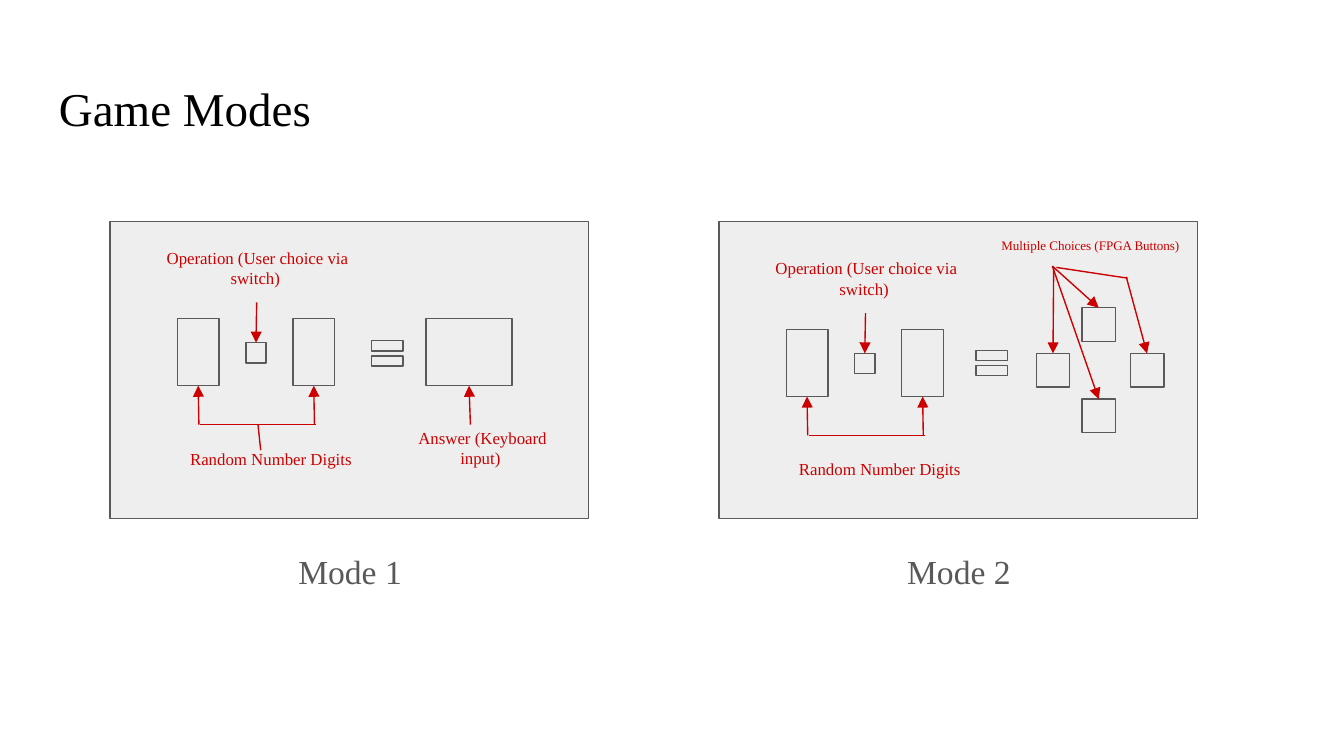
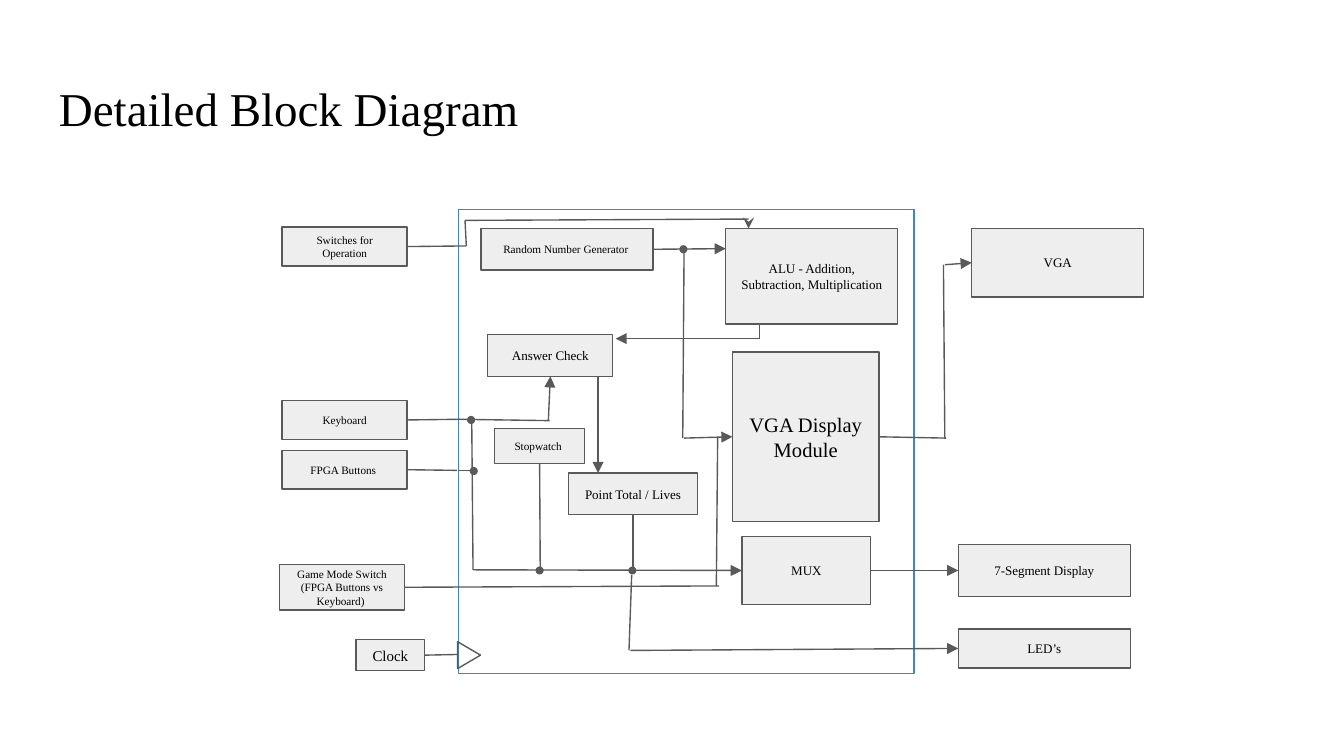
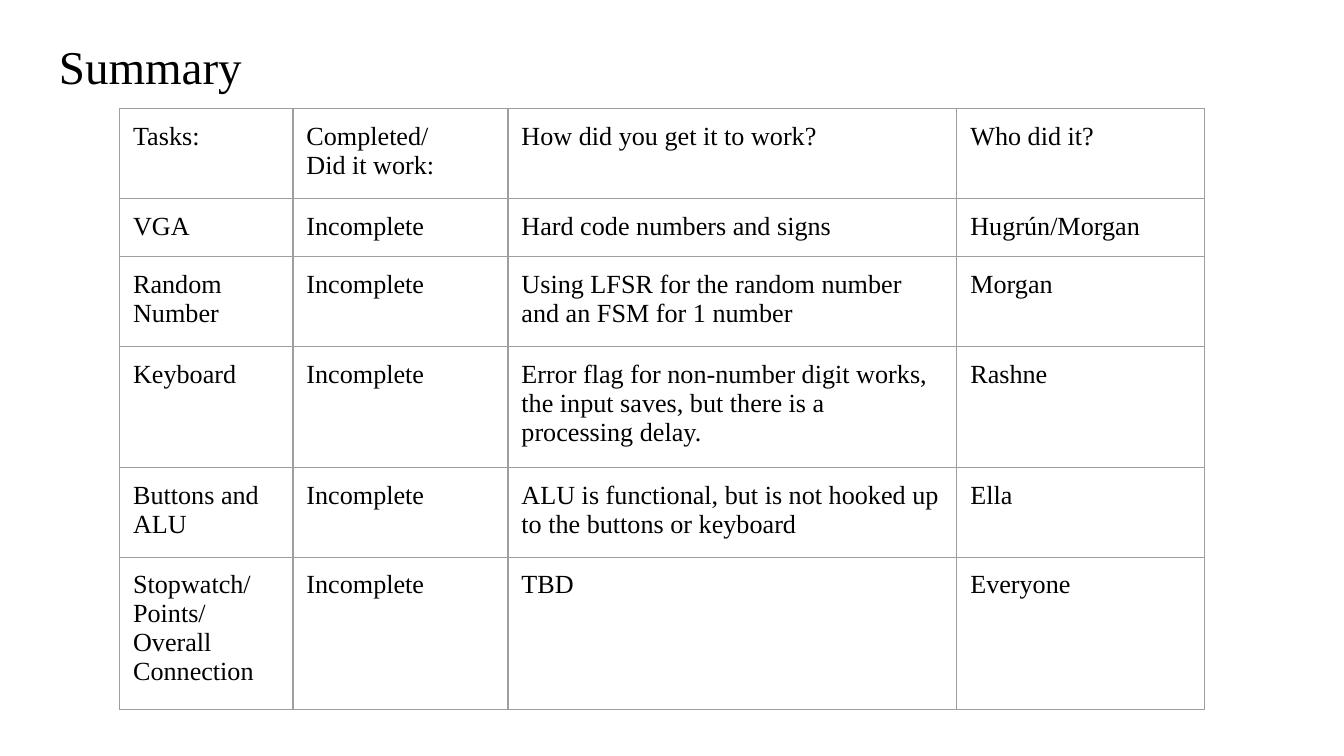
import pptx
import pptx.util
import pptx.oxml
import pptx.oxml.ns
import pptx.dml.color
import pptx.enum.shapes
import pptx.enum.text
from lxml import etree

Inches = pptx.util.Inches
SHAPE = pptx.enum.shapes.MSO_SHAPE
ALIGN = pptx.enum.text.PP_ALIGN
ANCHOR = pptx.enum.text.MSO_ANCHOR
qn = pptx.oxml.ns.qn

# Shared style
FONT = "Times New Roman"
BLACK, GREY, PALE = "000000", "595959", "EEEEEE"
RED, BLUE, BORDER = "CC0000", "3D85C6", "9E9E9E"
LINE_WIDTH = 0.75
INSET = 0.1
TOP, LEFT, BOTTOM, RIGHT = range(4)


def rgb(color):
    return pptx.dml.color.RGBColor.from_string(color)


def write(tf, text, size=14, color=BLACK, align=ALIGN.LEFT, anchor=ANCHOR.TOP):
    """Fill a text frame, one paragraph per line of text."""
    tf.word_wrap = True
    tf.vertical_anchor = anchor
    tf.margin_left = tf.margin_right = Inches(INSET)
    tf.margin_top = tf.margin_bottom = Inches(INSET)
    for i, line_text in enumerate(text.split("\n")):
        p = tf.paragraphs[0] if i == 0 else tf.add_paragraph()
        p.alignment = align
        r = p.add_run()
        r.text = line_text
        r.font.name = FONT
        r.font.size = pptx.util.Pt(size)
        r.font.color.rgb = rgb(color)


def label(s, at, text, **fmt):
    box = s.shapes.add_textbox(*map(Inches, at))
    write(box.text_frame, text, **{"align": ALIGN.CENTER, **fmt})


def title(s, text, top=0.49):
    label(s, (0.34, top, 9.32, 0.63), text, size=25.2, align=ALIGN.LEFT)


def shape(s, at, kind=SHAPE.RECTANGLE, fill=PALE, color=GREY):
    sp = s.shapes.add_shape(kind, *map(Inches, at))
    sp.shadow.inherit = False
    if fill:
        sp.fill.solid()
        sp.fill.fore_color.rgb = rgb(fill)
    else:
        sp.fill.background()
    sp.line.color.rgb = rgb(color)
    sp.line.width = pptx.util.Pt(LINE_WIDTH)
    return sp


def block(s, at, text, size):
    sp = shape(s, at)
    write(sp.text_frame, text, size=size, align=ALIGN.CENTER, anchor=ANCHOR.MIDDLE)
    return sp


def dot(s, x, y):
    shape(s, (x, y, 0.05, 0.05), SHAPE.OVAL, fill=GREY)


def line(s, start, end, color=GREY, head=None):
    """Each end is either a point (x, y) or a pair (shape, side)."""
    def is_point(place):
        return isinstance(place[0], (int, float))

    ends = [Inches(v) for place in (start, end)
            for v in (place if is_point(place) else (0, 0))]
    c = s.shapes.add_connector(pptx.enum.shapes.MSO_CONNECTOR.STRAIGHT, *ends)
    if not is_point(start):
        c.begin_connect(*start)
    if not is_point(end):
        c.end_connect(*end)
    c.line.color.rgb = rgb(color)
    c.line.width = pptx.util.Pt(LINE_WIDTH)
    if head:
        ln = c._element.spPr.find(qn("a:ln"))
        etree.SubElement(ln, qn("a:tailEnd"), type=head)
    etree.SubElement(c._element.spPr, qn("a:effectLst"))


def arrow(s, start, end, color=GREY):
    line(s, start, end, color, "triangle")


def equals_sign(s, x, y):
    sp = shape(s, (x, y, 0.32, 0.32), SHAPE.MATH_EQUAL)
    sp.adjustments[0], sp.adjustments[1] = 0.235, 0.118


def operands(s, dx=0, dy=0):
    """Two digits and the operator between them, with their labels."""
    bracket = 3.16 + dy
    for x in (1.32 + dx, 2.18 + dx):
        digit = shape(s, (x, 2.37 + dy, 0.31, 0.5))
        arrow(s, (x + 0.16, bracket), (digit, BOTTOM), RED)
    line(s, (1.49 + dx, bracket), (2.35 + dx, bracket), RED)
    label(s, (1.16 + dx, 3.26 + dy, 1.71, 0.35), "Random Number Digits", size=9, color=RED)

    operator = shape(s, (1.83 + dx, 2.55 + dy, 0.15, 0.15))
    label(s, (1.06 + dx, 1.74 + dy, 1.71, 0.5), "Operation (User choice via switch) ",
          size=9, color=RED)
    arrow(s, (1.91 + dx, 2.25 + dy), (operator, TOP), RED)


def game_modes(s):
    title(s, "Game Modes")
    for x, name in ((0.82, "Mode 1"), (5.35, "Mode 2")):
        shape(s, (x, 1.65, 3.56, 2.21))
        label(s, (x + 1.21, 4, 1.15, 0.5), name, size=18, color=GREY)

    # Mode 1: typed answer
    operands(s)
    line(s, (1.92, 3.16), (1.94, 3.35), RED)
    equals_sign(s, 2.72, 2.47)
    answer = shape(s, (3.17, 2.37, 0.64, 0.5))
    arrow(s, (3.5, 3.16), (answer, BOTTOM), RED)
    label(s, (2.99, 3.08, 1.2, 0.5), "Answer (Keyboard input) ", size=9, color=RED)

    # Mode 2: four choices around a cross
    operands(s, dx=4.53, dy=0.08)
    equals_sign(s, 7.22, 2.54)
    choices = ((8.05, 2.29, (7.83, 1.98)), (7.71, 2.63, (7.84, 2)),
               (8.41, 2.63, (8.38, 2.06)), (8.05, 2.97, (7.83, 1.98)))
    for x, y, start in choices:
        choice = shape(s, (x, y, 0.25, 0.25))
        arrow(s, start, (choice, TOP), RED)
    line(s, (7.86, 1.99), (8.39, 2.07), RED)
    label(s, (7.27, 1.71, 1.71, 0.32), "Multiple Choices (FPGA Buttons) ", size=7, color=RED)


def block_diagram(s):
    title(s, "Detailed Block Diagram")
    shape(s, (3.41, 1.56, 3.39, 3.45), fill=None, color=BLUE)

    # Inputs
    switches = block(s, (2.1, 1.69, 0.93, 0.29), "Switches for Operation", 6)
    keyboard = block(s, (2.1, 2.98, 0.93, 0.29), "Keyboard", 6)
    buttons = block(s, (2.1, 3.35, 0.93, 0.29), "FPGA Buttons ", 6)
    mode = block(s, (2.08, 4.2, 0.93, 0.34), "Game Mode Switch (FPGA Buttons vs Keyboard) ", 6)
    clock = block(s, (2.65, 4.76, 0.51, 0.23), "Clock", 8)
    shape(s, (3.39, 4.79, 0.2, 0.17), SHAPE.ISOSCELES_TRIANGLE, fill=None).rotation = 90

    # Modules
    generator = block(s, (3.58, 1.7, 1.28, 0.31), "Random Number Generator ", 6)
    block(s, (5.4, 1.7, 1.28, 0.71), "ALU - Addition, Subtraction, Multiplication", 7)
    check = block(s, (3.63, 2.49, 0.93, 0.31), "Answer Check", 7)
    stopwatch = block(s, (3.68, 3.19, 0.67, 0.26), "Stopwatch ", 6)
    points = block(s, (4.23, 3.52, 0.96, 0.31), "Point Total / Lives", 7)
    display = block(s, (5.45, 2.62, 1.09, 1.26), "VGA Display Module", 11)
    mux = block(s, (5.52, 3.99, 0.96, 0.51), "MUX", 7)

    # Outputs
    vga = block(s, (7.23, 1.7, 1.28, 0.51), "VGA", 7)
    segments = block(s, (7.13, 4.05, 1.28, 0.39), "7-Segment Display", 7)
    leds = block(s, (7.13, 4.68, 1.28, 0.29), "LED’s", 7)

    # Plain wires
    wires = (
        ((switches, RIGHT), (3.47, 1.83)), ((3.46, 1.64), (3.47, 1.83)),
        ((3.46, 1.64), (5.57, 1.63)),
        ((keyboard, RIGHT), (3.42, 3.12)), ((3.41, 3.12), (4.09, 3.13)),
        ((buttons, RIGHT), (3.4, 3.5)), ((3.41, 3.5), (3.5, 3.5)),
        ((3.51, 3.12), (3.52, 4.24)),
        ((mode, RIGHT), (5.35, 4.36)), ((5.33, 4.36), (5.34, 3.25)),
        ((clock, RIGHT), (3.41, 4.87)),
        ((5.09, 1.86), (5.08, 3.26)), ((5.65, 2.41), (5.65, 2.52)),
        ((stopwatch, BOTTOM), (4.02, 4.25)), ((points, BOTTOM), (4.71, 4.25)),
        ((4.68, 4.84), (4.7, 4.28)),
        ((display, RIGHT), (7.04, 3.26)), ((7.02, 1.97), (7.03, 3.26)),
    )
    for start, end in wires:
        line(s, start, end)

    # Arrows
    line(s, (5.57, 1.63), (5.57, 1.7), head="stealth")
    arrows = (
        ((generator, RIGHT), (5.4, 1.85)), ((5.65, 2.52), (4.58, 2.52)),
        ((4.08, 3.13), (check, BOTTOM)), ((4.45, 2.8), (4.45, 3.52)),
        ((5.09, 3.26), (display, LEFT)), ((3.52, 4.24), (mux, LEFT)),
        ((7.03, 1.97), (vga, LEFT)), ((mux, RIGHT), (segments, LEFT)),
        ((4.69, 4.84), (leds, LEFT)),
    )
    for start, end in arrows:
        arrow(s, start, end)

    # Junctions
    for x, y in ((5.06, 1.83), (3.48, 3.1), (3.5, 3.48), (3.99, 4.22), (4.68, 4.22)):
        dot(s, x, y)


def cell_border(cell):
    tc_pr = cell._tc.get_or_add_tcPr()
    for side in ("lnL", "lnR", "lnT", "lnB"):
        ln = etree.SubElement(tc_pr, qn("a:" + side), w=str(pptx.util.Pt(LINE_WIDTH)))
        fill = etree.SubElement(ln, qn("a:solidFill"))
        etree.SubElement(fill, qn("a:srgbClr"), val=BORDER)


def table(s, left, top, widths, heights, rows):
    size = (sum(widths), sum(heights))
    frame = s.shapes.add_table(len(rows), len(widths), *map(Inches, (left, top, *size)))
    tbl = frame.table
    tbl.first_row = tbl.horz_banding = False
    for column, width in zip(tbl.columns, widths):
        column.width = Inches(width)
    for row, height in zip(tbl.rows, heights):
        row.height = Inches(height)
    for i, texts in enumerate(rows):
        for j, text in enumerate(texts):
            cell = tbl.cell(i, j)
            cell_border(cell)
            cell.fill.background()
            write(cell.text_frame, text)
            cell.margin_left = cell.margin_right = Inches(INSET)
            cell.margin_top = cell.margin_bottom = Inches(INSET)


def summary(s):
    title(s, "Summary", top=0.18)
    status = "Incomplete"
    widths = (1.29, 1.6, 3.34, 1.84)
    heights = (0.63, 0.42, 0.63, 0.85, 0.63, 1.06)
    table(s, 0.89, 0.81, widths, heights, (
        ("Tasks:", "Completed/\nDid it work:", "How did you get it to work?", "Who did it?"),
        ("VGA", status, "Hard code numbers and signs", "Hugrún/Morgan"),
        ("Random Number", status,
         "Using LFSR for the random number and an FSM for 1 number", "Morgan"),
        ("Keyboard", status,
         "Error flag for non-number digit works, the input saves, "
         "but there is a processing delay.", "Rashne"),
        ("Buttons and ALU", status,
         "ALU is functional, but is not hooked up to the buttons or keyboard", "Ella"),
        ("Stopwatch/ Points/ Overall Connection", status, "TBD", "Everyone"),
    ))


def main():
    prs = pptx.Presentation()
    prs.slide_width = Inches(10)
    prs.slide_height = prs.slide_width * 9 // 16
    for build in (game_modes, block_diagram, summary):
        build(prs.slides.add_slide(prs.slide_layouts[6]))
    prs.save("out.pptx")


if __name__ == "__main__":
    main()
